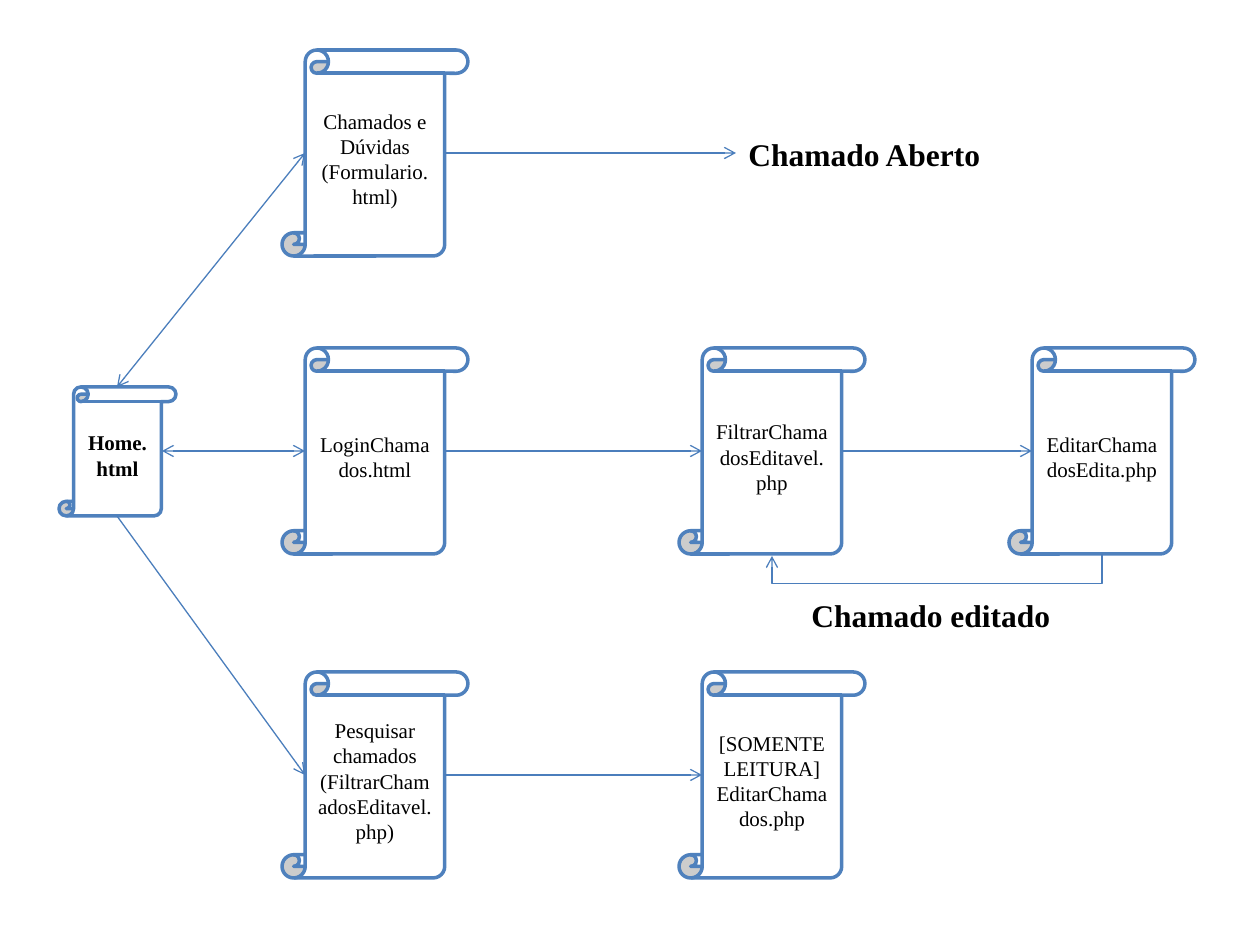
from lxml import etree
from pptx import Presentation
from pptx import util as u
from pptx.dml.color import RGBColor
from pptx.enum import shapes, text
from pptx.oxml.ns import qn

PX = 914400 // 126
COLORS = {"paper": "FFFFFF", "outline": "4F81BD", "arrow": "4B7EBC", "ink": "000000"}
TOP, LEFT, BOTTOM, RIGHT = range(4)

deck = Presentation()
deck.slide_width, deck.slide_height = u.Inches(10), u.Inches(7.5)
page = deck.slides.add_slide(deck.slide_layouts[6])


def write(box, content, size=12, bold=False, align=None, wrap=True):
    frame = box.text_frame
    frame.word_wrap = wrap
    frame.text = content
    for para in frame.paragraphs:
        para.alignment = align
        for span in para.runs:
            span.font.name = "Times New Roman"
            span.font.size = u.Pt(size)
            span.font.bold = bold
            span.font.color.rgb = RGBColor.from_string(COLORS["ink"])


def style_arrow(line, *ends):
    """Colour a connector and put open arrowheads on the given ends."""
    line.line.color.rgb = RGBColor.from_string(COLORS["arrow"])
    line.line.width = u.Pt(0.75)
    outline = line.line._get_or_add_ln()
    for end in ends:
        etree.SubElement(outline, qn(f"a:{end}"), type="arrow")
    etree.SubElement(line._element.spPr, qn("a:effectLst"))


# Scrolls: left, top, width, height, text
WIDTH, HEIGHT = 186, 206
COLUMNS = (282, 679, 1009)
ROWS = (50, 348, 672)
pages = {
    "home": (59, 387, 117, 129, "Home.html"),
    "form": (COLUMNS[0], ROWS[0], WIDTH, HEIGHT, "Chamados e Dúvidas (Formulario.html)"),
    "login": (COLUMNS[0], ROWS[1], WIDTH, HEIGHT, "LoginChamados.html"),
    "search": (COLUMNS[0], ROWS[2], WIDTH, HEIGHT,
               "Pesquisar chamados (FiltrarChamadosEditavel.php)"),
    "filter": (COLUMNS[1], ROWS[1], WIDTH, HEIGHT, "FiltrarChamadosEditavel.php"),
    "edit": (COLUMNS[2], ROWS[1], WIDTH, HEIGHT, "EditarChamadosEdita.php"),
    "read_only": (COLUMNS[1], ROWS[2], WIDTH, HEIGHT,
                  "[SOMENTE LEITURA]\nEditarChamados.php"),
}
scrolls, sites = {}, {}
for name, (left, top, width, height, content) in pages.items():
    scroll = page.shapes.add_shape(shapes.MSO_SHAPE.VERTICAL_SCROLL,
                                   left * PX, top * PX, width * PX, height * PX)
    scroll.shadow.inherit = False
    scroll.fill.solid()
    scroll.fill.fore_color.rgb = RGBColor.from_string(COLORS["paper"])
    scroll.line.color.rgb = RGBColor.from_string(COLORS["outline"])
    scroll.line.width = u.Pt(2)
    scroll.text_frame.vertical_anchor = text.MSO_ANCHOR.MIDDLE
    write(scroll, content, bold=name == "home", align=text.PP_ALIGN.CENTER)
    scrolls[name] = scroll

    # The sheet of a scroll is inset by an eighth of its shorter side
    inset = min(width, height) // 8
    center, middle = left + width // 2, top + height // 2
    sites[name] = {TOP: (center, top), LEFT: (left + inset, middle),
                   BOTTOM: (center, top + height), RIGHT: (left + width - inset, middle)}

# Straight arrows: from page and side, to page and side, arrowheads
links = [
    ("home", BOTTOM, "search", LEFT, ["tailEnd"]),
    ("login", RIGHT, "filter", LEFT, ["tailEnd"]),
    ("filter", RIGHT, "edit", LEFT, ["tailEnd"]),
    ("form", LEFT, "home", TOP, ["headEnd", "tailEnd"]),
    ("login", LEFT, "home", RIGHT, ["headEnd", "tailEnd"]),
    ("search", RIGHT, "read_only", LEFT, ["tailEnd"]),
    ("form", RIGHT, None, None, ["tailEnd"]),
]
for source, exit_side, target, entry_side, ends in links:
    x1, y1 = sites[source][exit_side]
    x2, y2 = sites[target][entry_side] if target else (736, y1)
    arrow = page.shapes.add_connector(shapes.MSO_CONNECTOR.STRAIGHT, 0, 0, 0, 0)
    arrow.begin_connect(scrolls[source], exit_side)
    if target:
        arrow.end_connect(scrolls[target], entry_side)
    # Connecting snaps to the outer frame, so the ends go back to the sheet
    arrow.begin_x, arrow.begin_y = x1 * PX, y1 * PX
    arrow.end_x, arrow.end_y = x2 * PX, y2 * PX
    style_arrow(arrow, *ends)

# Return arrow under the two editing pages: a bent connector turned a quarter
DROP, THICKNESS = 30, 2
x1, y1 = sites["edit"][BOTTOM]
x2, y2 = sites["filter"][BOTTOM]
span_x = x1 - x2
left, top = (x1 + x2 - THICKNESS) // 2, y1 - (span_x - THICKNESS) // 2
back = page.shapes.add_connector(shapes.MSO_CONNECTOR.ELBOW, left * PX, top * PX,
                                 (left + THICKNESS) * PX, (top + span_x) * PX)
back._element.spPr.find(qn("a:xfrm")).set("rot", str(90 * 60000))
guides = back._element.spPr.find(qn("a:prstGeom")).get_or_add_avLst()
etree.SubElement(guides, qn("a:gd"), name="adj1", fmla=f"val {DROP * 100000 // THICKNESS}")
style_arrow(back, "tailEnd")

# Results
for left, top, width, content, wrap in ((736, 129, 275, "Chamado Aberto", True),
                                        (799, 590, 267, "Chamado editado", False)):
    label = page.shapes.add_textbox(left * PX, top * PX, width * PX, 50 * PX)
    label.text_frame.auto_size = text.MSO_AUTO_SIZE.SHAPE_TO_FIT_TEXT
    write(label, content, size=18, bold=True, wrap=wrap)

deck.save("out.pptx")
